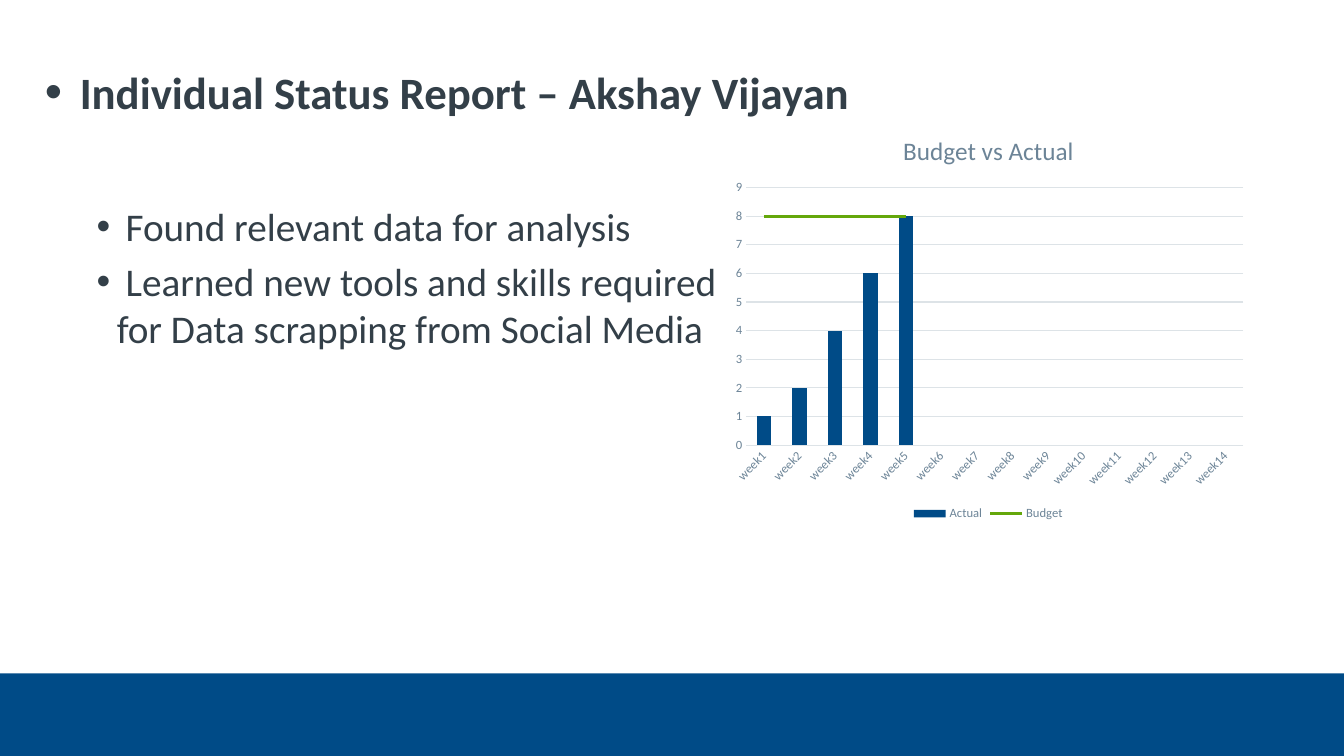
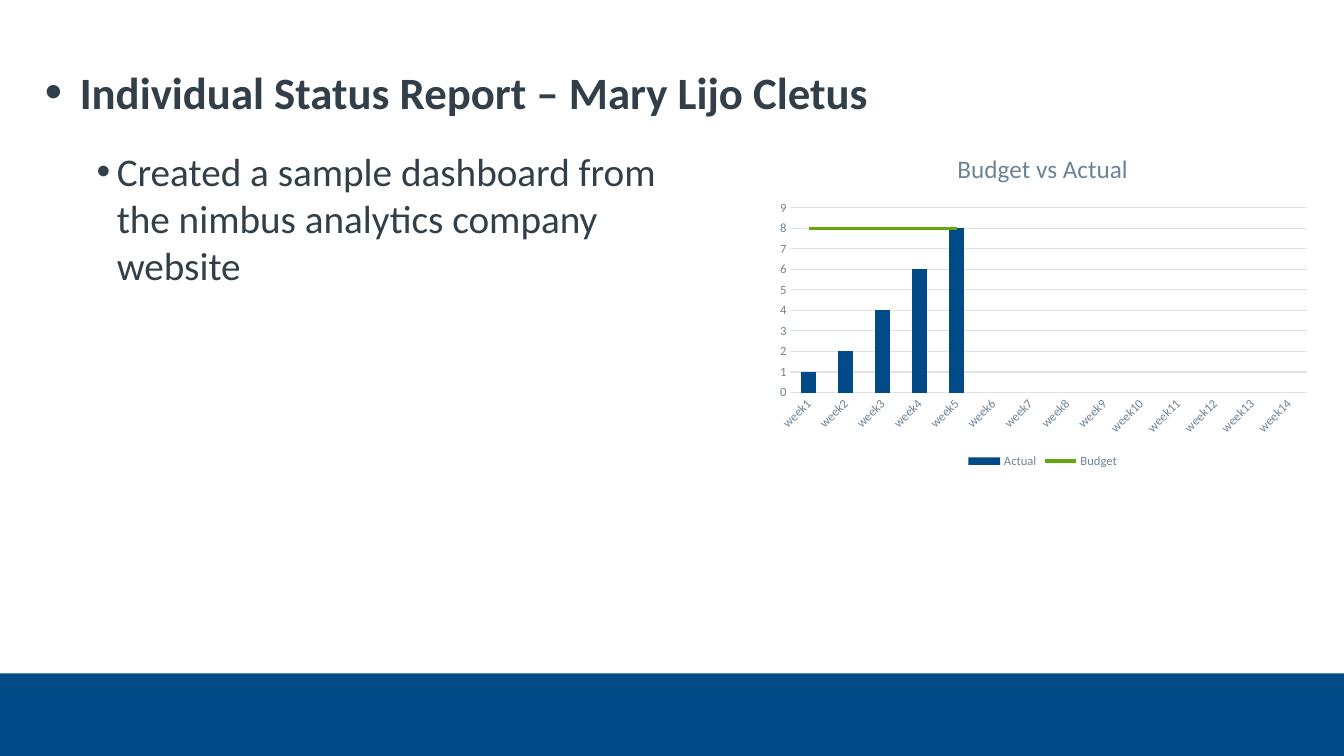
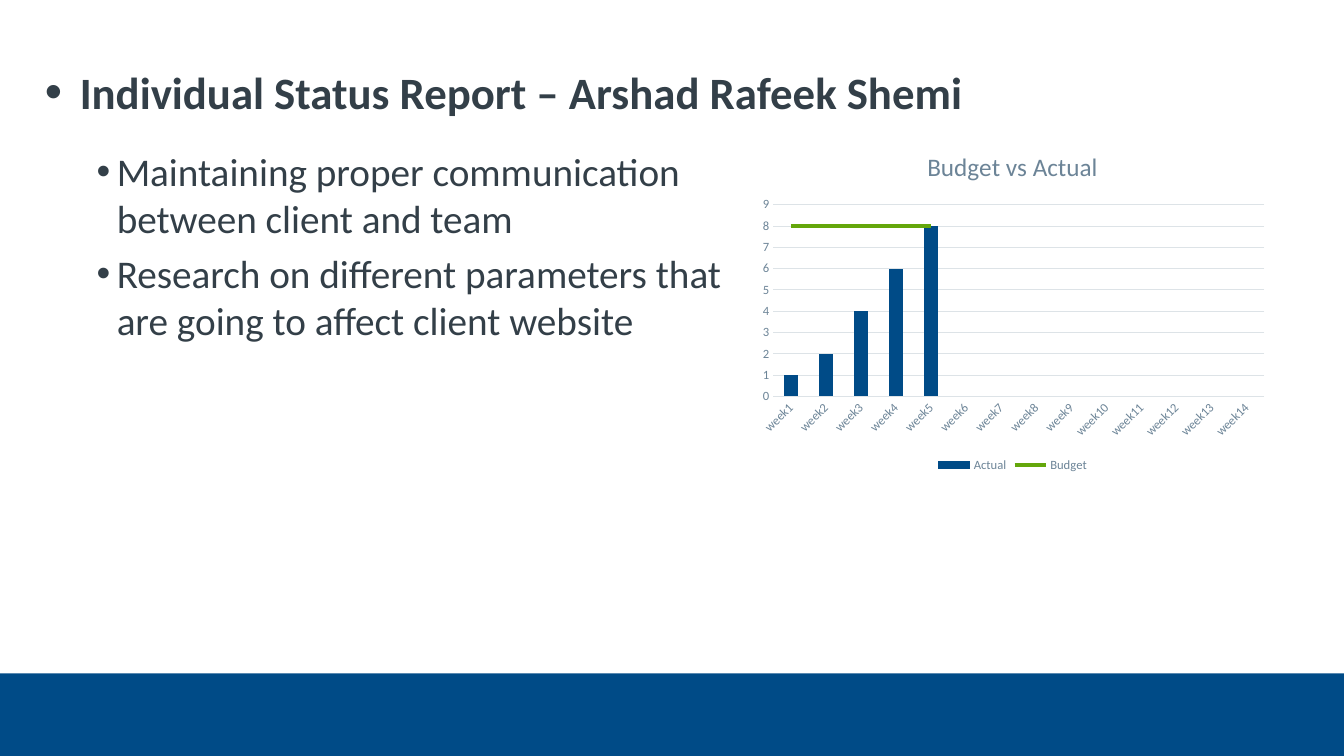
from lxml.etree import SubElement
from pptx import Presentation
from pptx.chart.data import CategoryChartData
from pptx.dml.color import RGBColor
from pptx.enum.chart import XL_CHART_TYPE, XL_LEGEND_POSITION, XL_MARKER_STYLE, XL_TICK_MARK
from pptx.enum.shapes import MSO_SHAPE
from pptx.oxml import parse_xml
from pptx.oxml.ns import nsdecls, qn
from pptx.util import Pt

WIDE, HIGH = 960, 540
FONT = "Calibri"
BLUE, GREEN, DARK, GREY, PALE = "004B87", "64A70B", "333F48", "6C8497", "DDE3E7"
TITLE = "Individual Status Report – "
HEAD = "Budget vs Actual"
WEEKS = [f"week{n}" for n in range(1, 15)]
ACTUAL = [1, 2, 4, 6, 8]
BUDGET = [8] * 5
INSET = dict(left=16, top=52, right=7, base=57)

SLIDES = [
    dict(name="Akshay Vijayan",
         items=[" Found relevant data for analysis",
                " Learned new tools and skills required for Data scrapping from Social Media"],
         body=(69, 144.5, 456, 324), chart=(517, 82, 378, 293)),
    dict(name="Mary Lijo Cletus",
         items=["Created a sample dashboard from the nimbus analytics company website"],
         body=(69, 105, 425.5, 233), chart=(548.6, 96.5, 392.4, 241)),
    dict(name="Arshad Rafeek Shemi",
         items=["Maintaining proper communication between client and team",
                "Research on different parameters that are going to affect client website"],
         body=(69, 105, 466.5, 246), chart=(536.4, 94.3, 373.7, 246)),
]


def color(code):
    return RGBColor.from_string(code)


def paint(fill, code):
    fill.solid()
    fill.fore_color.rgb = color(code)


def style(font, size, code, bold=False):
    font.name, font.size, font.bold = FONT, Pt(size), bold
    font.color.rgb = color(code)


def rule(line, code, width):
    line.color.rgb = color(code)
    line.width = Pt(width)


def bullet(para, indent, scale):
    props = para._p.get_or_add_pPr()
    props.set("marL", str(Pt(indent)))
    props.set("indent", str(-Pt(indent)))
    SubElement(props, qn("a:buSzPct"), val=str(scale * 1000))
    SubElement(props, qn("a:buFont"), typeface="Arial")
    SubElement(props, qn("a:buChar"), char="•")


def add_list(slide, box, items, size, indent, scale=100, bold=False):
    frame = slide.shapes.add_textbox(*map(Pt, box)).text_frame
    frame.word_wrap = True
    frame.margin_left = frame.margin_right = frame.margin_top = frame.margin_bottom = 0
    frame.text = "\n".join(items)
    for para in frame.paragraphs:
        para.space_after = Pt(size * 0.2)
        bullet(para, indent, scale)
        for run in para.runs:
            style(run.font, size, DARK, bold)


def add_band(slide):
    band = slide.shapes.add_shape(MSO_SHAPE.RECTANGLE, 0, Pt(481), Pt(WIDE), Pt(59))
    band.shadow.inherit = False
    paint(band.fill, BLUE)
    band.line.fill.background()


def split_line(chart):
    bars = chart._chartSpace.find(".//" + qn("c:barChart"))
    last = bars.findall(qn("c:ser"))[-1]
    flag = last.find(qn("c:invertIfNegative"))
    if flag is not None:
        last.remove(flag)
    line = parse_xml(f'<c:lineChart {nsdecls("c")}><c:grouping val="standard"/>'
                     '<c:varyColors val="0"/></c:lineChart>')
    line.append(last)
    SubElement(line, qn("c:marker"), val="1")
    for axis in bars.findall(qn("c:axId")):
        SubElement(line, qn("c:axId"), val=axis.get("val"))
    bars.addnext(line)


def place_plot(chart, width, height):
    area = chart._chartSpace.find(".//" + qn("c:plotArea"))
    old = area.find(qn("c:layout"))
    if old is not None:
        area.remove(old)
    layout = parse_xml(f'<c:layout {nsdecls("c")}><c:manualLayout/></c:layout>')
    parts = dict(layoutTarget="inner", xMode="edge", yMode="edge",
                 x=INSET["left"] / width, y=INSET["top"] / height,
                 w=1 - (INSET["left"] + INSET["right"]) / width,
                 h=1 - (INSET["top"] + INSET["base"]) / height)
    for tag, val in parts.items():
        SubElement(layout[0], qn("c:" + tag), val=str(val))
    area.insert(0, layout)


def add_graph(slide, box):
    data = CategoryChartData()
    data.categories = WEEKS
    for name, vals in (("Actual", ACTUAL), ("Budget", BUDGET)):
        data.add_series(name, vals + [None] * (len(WEEKS) - len(vals)))
    chart = slide.shapes.add_chart(XL_CHART_TYPE.COLUMN_CLUSTERED, *map(Pt, box), data).chart
    style(chart.font, 10, DARK)
    chart.has_title = True
    title = chart.chart_title
    title.include_in_layout = False
    title.text_frame.text = HEAD
    style(title.text_frame.paragraphs[0].runs[0].font, 18, GREY)
    chart.has_legend = True
    chart.legend.position = XL_LEGEND_POSITION.BOTTOM
    chart.legend.include_in_layout = False
    style(chart.legend.font, 9, GREY)
    cats, vals = chart.category_axis, chart.value_axis
    for axis in (cats, vals):
        axis.major_tick_mark = axis.minor_tick_mark = XL_TICK_MARK.NONE
        style(axis.tick_labels.font, 9, GREY)
    rule(cats.format.line, PALE, 0.75)
    cats._element.find(".//" + qn("a:bodyPr")).set("rot", "-2700000")
    vals.format.line.fill.background()
    rule(vals.major_gridlines.format.line, PALE, 0.75)
    vals.minimum_scale, vals.maximum_scale, vals.major_unit = 0, 9, 1
    split_line(chart)
    place_plot(chart, *box[2:])
    bars, line = chart.plots
    bars.gap_width = 150
    bars.vary_by_categories = False
    paint(bars.series[0].format.fill, BLUE)
    budget = line.series[0]
    rule(budget.format.line, GREEN, 2.25)
    budget.marker.style = XL_MARKER_STYLE.NONE
    budget.smooth = False


def main():
    deck = Presentation()
    deck.slide_width, deck.slide_height = Pt(WIDE), Pt(HIGH)
    for page in SLIDES:
        slide = deck.slides.add_slide(deck.slide_layouts[6])
        add_band(slide)
        add_list(slide, (32, 46, 863, 59), [TITLE + page["name"]], 32, 25, 110, True)
        add_list(slide, page["body"], page["items"], 28, 14.4)
        add_graph(slide, page["chart"])
    deck.save("out.pptx")


if __name__ == "__main__":
    main()
